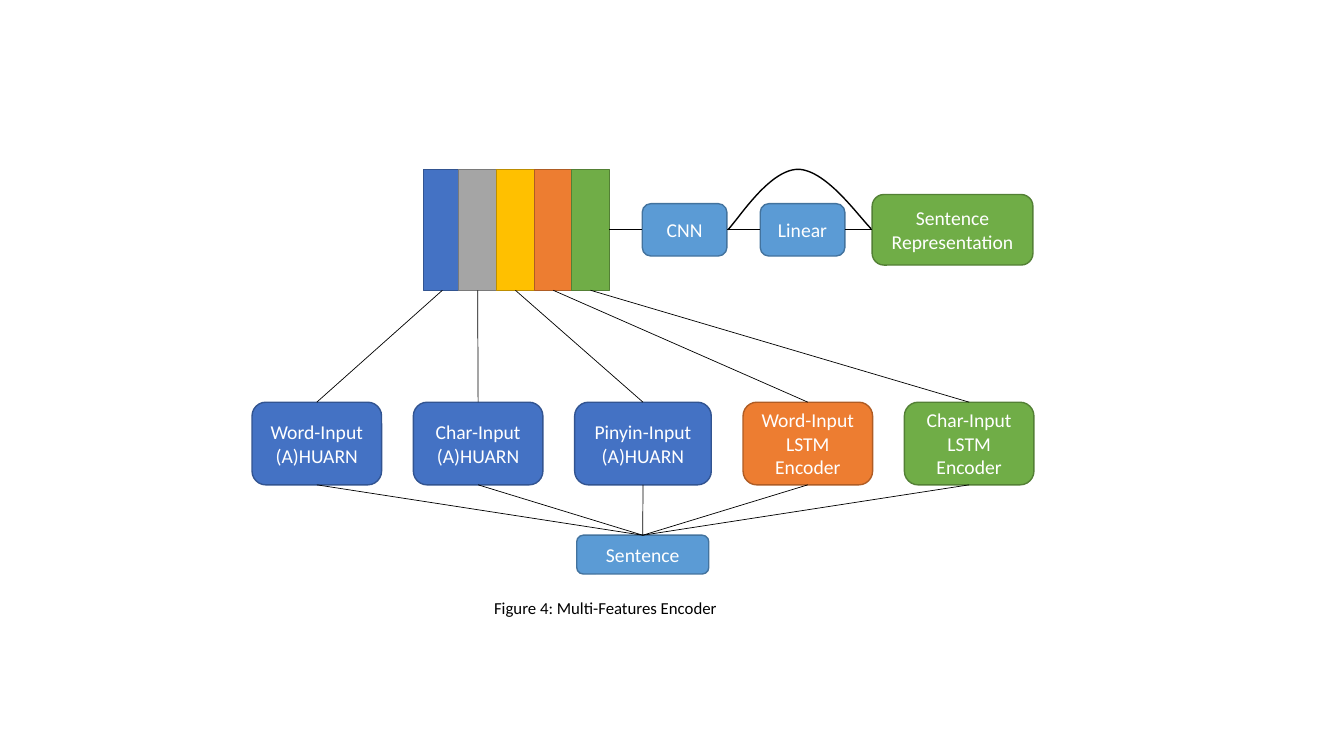
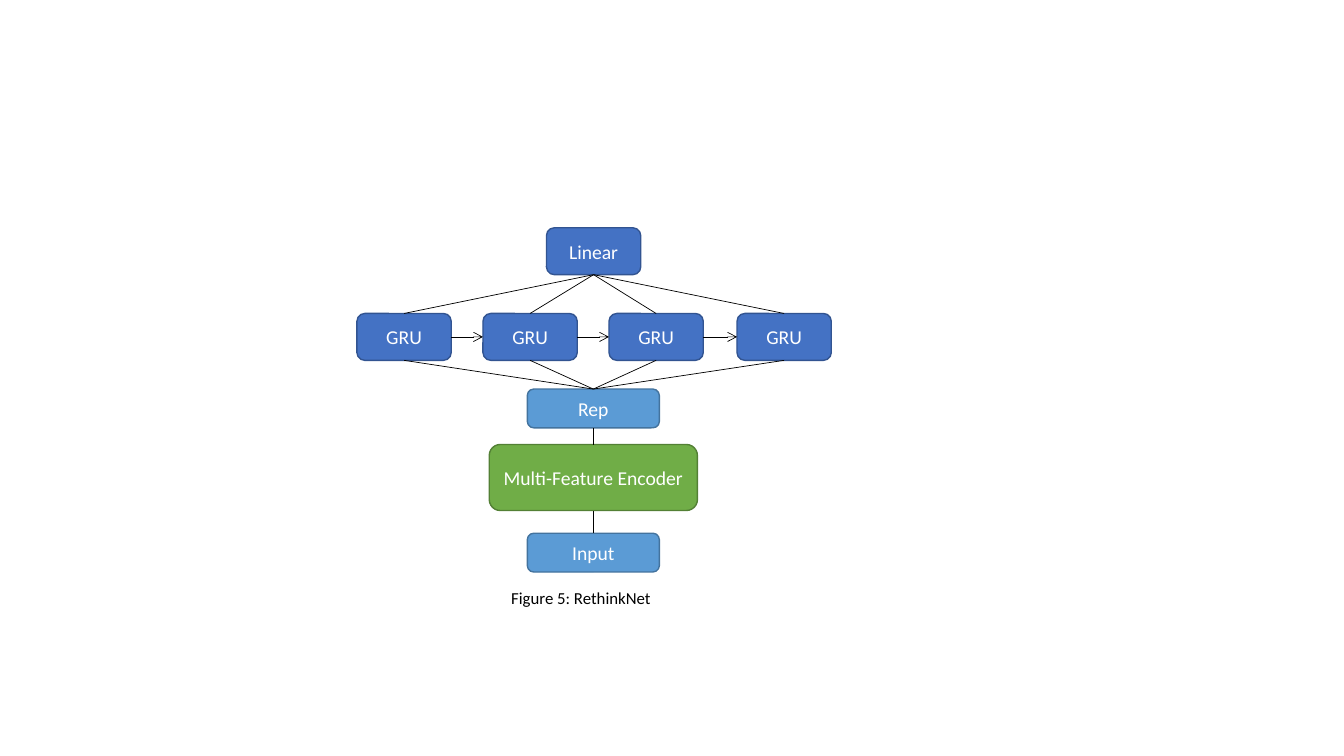
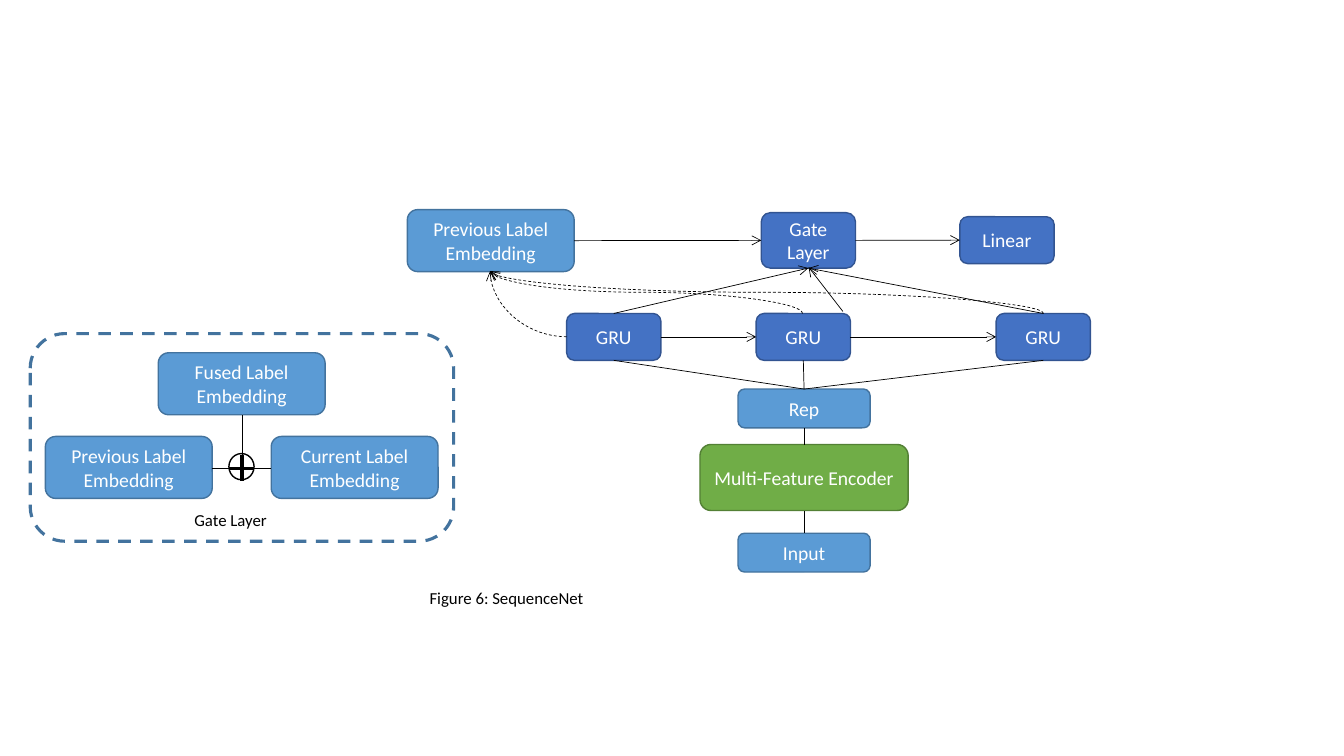
"""Build three slides of neural network diagrams: encoder, RethinkNet and SequenceNet."""

from dataclasses import dataclass
from enum import IntEnum
from itertools import pairwise

from lxml.etree import SubElement
from pptx import Presentation
from pptx.dml.color import RGBColor
from pptx.enum.dml import MSO_LINE
from pptx.enum.shapes import MSO_CONNECTOR, MSO_SHAPE
from pptx.enum.text import MSO_ANCHOR, MSO_AUTO_SIZE, PP_ALIGN
from pptx.oxml.ns import qn
from pptx.shapes.autoshape import Shape
from pptx.shapes.connector import Connector
from pptx.slide import Slide
from pptx.util import Inches, Length, Pt

COLORS = {
    "blue": "4472C4", "blue_edge": "325491",
    "sky": "5B9BD5", "sky_edge": "43739E",
    "green": "70AD47", "green_edge": "538035",
    "orange": "ED7D31", "orange_edge": "AF5C24",
    "gray": "A5A5A5", "gray_edge": "7A7A7A",
    "gold": "FFC000", "gold_edge": "BD8E00",
    "white": "FFFFFF", "black": "000000",
}
FONT = "Calibri"
CAPTION_SIZE, LABEL_SIZE = 12, 14
THIN, EDGE, FRAME, PLUS = 0.5, 1, 2.25, 2.5
GRU_ROW, GRU_COLUMNS, GRU_ROWS = 31.1, 9.35, 4.65
LABEL_COLUMNS, LABEL_ROWS = 16.55, 6.15

Point = tuple[float, float]


class Side(IntEnum):
    """Connection sites of a rectangle."""

    TOP = 0
    LEFT = 1
    BOTTOM = 2
    RIGHT = 3


@dataclass(frozen=True)
class Box:
    """A labelled shape placed in grid columns and rows."""

    column: float
    row: float
    columns: float
    rows: float
    color: str
    label: str = ""
    geometry: MSO_SHAPE = MSO_SHAPE.ROUNDED_RECTANGLE


def cells(count: float) -> Length:
    """Convert grid cells, a tenth of an inch each, to a length."""
    return Inches(count / 10)


def rgb(name: str) -> RGBColor:
    """Look up a palette colour."""
    return RGBColor.from_string(COLORS[name])


def style_text(shape: Shape, size: float, color: str, align: PP_ALIGN) -> None:
    """Format all the text of a shape alike."""
    for para in shape.text_frame.paragraphs:
        para.alignment = align
        for span in para.runs:
            span.font.name = FONT
            span.font.size = Pt(size)
            span.font.color.rgb = rgb(color)


def draw_box(page: Slide, box: Box) -> Shape:
    """Draw a filled box with its centred label."""
    shape = page.shapes.add_shape(
        box.geometry, cells(box.column), cells(box.row), cells(box.columns), cells(box.rows)
    )
    shape.shadow.inherit = False
    shape.fill.solid()
    shape.fill.fore_color.rgb = rgb(box.color)
    shape.line.color.rgb = rgb("black" if box.color == "white" else f"{box.color}_edge")
    shape.line.width = Pt(EDGE)
    if box.label:
        shape.text_frame.text = box.label
        shape.text_frame.word_wrap = True
        shape.text_frame.vertical_anchor = MSO_ANCHOR.MIDDLE
        style_text(shape, LABEL_SIZE, "white", PP_ALIGN.CENTER)
    return shape


def write_note(shape: Shape, text: str) -> None:
    """Write small black text from the top left of a shape."""
    shape.text_frame.text = text
    shape.text_frame.word_wrap = True
    shape.text_frame.auto_size = MSO_AUTO_SIZE.NONE
    shape.text_frame.vertical_anchor = MSO_ANCHOR.TOP
    style_text(shape, CAPTION_SIZE, "black", PP_ALIGN.LEFT)


def add_page(deck: Presentation, caption: str, column: float, row: float, columns: float) -> Slide:
    """Add a slide whose title is the figure caption."""
    page = deck.slides.add_slide(deck.slide_layouts.get_by_name("Title Only"))
    title = page.shapes.title
    title.left, title.top = cells(column), cells(row)
    title.width, title.height = cells(columns), cells(3)
    write_note(title, caption)
    return page


def style_line(line: Connector, width: float = THIN, arrow: bool = False, dashed: bool = False) -> None:
    """Make a connector black, without shadow, perhaps dashed or with an arrowhead."""
    line.line.color.rgb = rgb("black")
    line.line.width = Pt(width)
    if dashed:
        line.line.dash_style = MSO_LINE.DASH
    properties = line.element.spPr
    if arrow:
        SubElement(properties.find(qn("a:ln")), qn("a:tailEnd"), type="arrow")
    SubElement(properties, qn("a:effectLst"))


def draw_line(page: Slide, start: Point, end: Point, width: float = THIN, arrow: bool = False) -> None:
    """Draw a straight line between two grid points."""
    line = page.shapes.add_connector(MSO_CONNECTOR.STRAIGHT, *map(cells, (*start, *end)))
    style_line(line, width, arrow)


def link(page: Slide, source: Shape, leave: Side, target: Shape, enter: Side, arrow: bool = False) -> None:
    """Join two shapes by a straight connector."""
    line = page.shapes.add_connector(MSO_CONNECTOR.STRAIGHT, 0, 0, 0, 0)
    line.begin_connect(source, leave)
    line.end_connect(target, enter)
    style_line(line, arrow=arrow)


def draw_feedback(page: Slide, start: Point, end: Point, upward: bool) -> None:
    """Draw a dashed curved arrow running up and left, leaving upward or leftward."""
    across, rise = start[0] - end[0], start[1] - end[1]
    width, height = (rise, across) if upward else (across, rise)
    left = (start[0] + end[0] - width) / 2
    top = (start[1] + end[1] - height) / 2
    curve = page.shapes.add_connector(
        MSO_CONNECTOR.CURVE, cells(left), cells(top), cells(left + width), cells(top + height)
    )
    frame = curve.element.spPr.find(qn("a:xfrm"))
    frame.set("rot", str((270 if upward else 180) * 60000))
    if upward:
        frame.set("flipV", "1")
    else:
        curve.element.spPr.find(qn("a:prstGeom")).set("prst", "curvedConnector2")
    style_line(curve, arrow=True, dashed=True)


def bezier(points: tuple[Point, Point, Point, Point], steps: int = 30) -> list[Point]:
    """Sample a cubic curve."""
    shares = [step / steps for step in range(steps + 1)]
    weights = [((1 - t) ** 3, 3 * t * (1 - t) ** 2, 3 * t * t * (1 - t), t**3) for t in shares]
    return [
        tuple(sum(w * point[axis] for w, point in zip(weight, points)) for axis in (0, 1))
        for weight in weights
    ]


def draw_skip_curve(page: Slide) -> None:
    """Draw the arc that passes over the linear layer."""
    rising = bezier(((72.2, 22.8), (73.4, 21.5), (76.3, 16.9), (79.1, 16.8)))
    falling = bezier(((79.1, 16.8), (81.9, 16.8), (85.1, 21.4), (86.4, 22.7)))
    points = [(cells(x), cells(y)) for x, y in rising + falling[1:]]
    builder = page.shapes.build_freeform(*points[0])
    builder.add_line_segments(points[1:], close=False)
    arc = builder.convert_to_shape()
    arc.shadow.inherit = False
    arc.fill.background()
    arc.line.color.rgb = rgb("black")
    arc.line.width = Pt(EDGE)


def draw_grus(page: Slide, columns: tuple[float, ...]) -> list[Shape]:
    """Draw a chain of recurrent units joined by arrows."""
    grus = [draw_box(page, Box(column, GRU_ROW, GRU_COLUMNS, GRU_ROWS, "blue", "GRU")) for column in columns]
    for previous, following in pairwise(grus):
        link(page, previous, Side.RIGHT, following, Side.LEFT, arrow=True)
    return grus


def draw_input_stack(page: Slide, center: float, grus: list[Shape]) -> None:
    """Draw input, encoder and representation below the recurrent units."""
    layers = (
        (38.6, 13.1, 3.85, "sky", "Rep"),
        (44.1, 20.65, 6.55, "green", "Multi-Feature Encoder"),
        (52.9, 13.1, 3.85, "sky", "Input"),
    )
    stack = [
        draw_box(page, Box(center - columns / 2, row, columns, rows, color, label))
        for row, columns, rows, color, label in layers
    ]
    for upper, lower in pairwise(stack):
        link(page, lower, Side.TOP, upper, Side.BOTTOM)
    for gru in grus:
        link(page, gru, Side.BOTTOM, stack[0], Side.TOP)


def build_encoder(deck: Presentation) -> None:
    """Build the multi-feature encoder slide."""
    page = add_page(deck, "Figure 4: Multi-Features Encoder", 48, 58.8, 27.3)
    sentence = draw_box(page, Box(57.2, 53.1, 13.1, 3.85, "sky", "Sentence"))
    strips = [
        draw_box(page, Box(column, 16.8, 3.75, 12, color, geometry=MSO_SHAPE.RECTANGLE))
        for column, color in zip(
            (42, 45.5, 49.25, 53, 56.7), ("blue", "gray", "gold", "orange", "green")
        )
    ]
    inputs = (
        (25, 12.85, "blue", "Word-Input\n(A)HUARN"),
        (41, 12.85, "blue", "Char-Input\n(A)HUARN"),
        (57, 13.55, "blue", "Pinyin-Input\n(A)HUARN"),
        (73.7, 12.85, "orange", "Word-Input\nLSTM Encoder"),
        (89.7, 12.85, "green", "Char-Input\nLSTM Encoder"),
    )
    for (column, columns, color, label), strip in zip(inputs, strips):
        encoder = draw_box(page, Box(column, 39.9, columns, 8.2, color, label))
        link(page, encoder, Side.BOTTOM, sentence, Side.TOP)
        link(page, encoder, Side.TOP, strip, Side.BOTTOM)
    chain = [strips[-1]] + [
        draw_box(page, box)
        for box in (
            Box(63.7, 20.2, 8.4, 5.2, "sky", "CNN"),
            Box(75.4, 20.2, 8.4, 5.2, "sky", "Linear"),
            Box(86.5, 19.3, 15.95, 7, "green", "Sentence Representation"),
        )
    ]
    for previous, following in pairwise(chain):
        link(page, previous, Side.RIGHT, following, Side.LEFT)
    draw_skip_curve(page)


def build_rethink_net(deck: Presentation) -> None:
    """Build the RethinkNet slide."""
    page = add_page(deck, "Figure 5: RethinkNet", 49.7, 57.8, 18.3)
    grus = draw_grus(page, (35.4, 47.9, 60.4, 73.1))
    draw_input_stack(page, 58.85, grus)
    linear = draw_box(page, Box(54.2, 22.6, GRU_COLUMNS, GRU_ROWS, "blue", "Linear"))
    for gru in grus:
        link(page, gru, Side.TOP, linear, Side.BOTTOM)


def draw_gate_detail(page: Slide) -> None:
    """Draw the dashed frame that explains the gate layer."""
    frame = page.shapes.add_shape(
        MSO_SHAPE.ROUNDED_RECTANGLE, cells(3), cells(33.1), cells(42), cells(20.6)
    )
    frame.shadow.inherit = False
    frame.fill.background()
    frame.line.color.rgb = rgb("sky_edge")
    frame.line.width = Pt(FRAME)
    frame.line.dash_style = MSO_LINE.DASH
    for column, row, word in ((4.5, 43.3, "Previous"), (26.9, 43.3, "Current"), (15.7, 35, "Fused")):
        draw_box(page, Box(column, row, LABEL_COLUMNS, LABEL_ROWS, "sky", f"{word} Label Embedding"))
    draw_box(page, Box(22.7, 45, 2.5, 2.6, "white", geometry=MSO_SHAPE.OVAL))
    for start, end, width in (
        ((22.7, 46.5), (25.2, 46.5), PLUS),
        ((24, 45.1), (24, 47.7), PLUS),
        ((24, 45.2), (24, 41.2), THIN),
        ((21, 46.5), (22.7, 46.5), THIN),
        ((26.9, 46.5), (25.2, 46.5), THIN),
    ):
        draw_line(page, start, end, width)
    note = page.shapes.add_textbox(cells(18.3), cells(50.1), cells(11.3), cells(3))
    write_note(note, "Gate Layer")


def build_sequence_net(deck: Presentation) -> None:
    """Build the SequenceNet slide."""
    page = add_page(deck, "Figure 6: SequenceNet", 41.6, 57.8, 20.1)
    grus = draw_grus(page, (56.2, 75, 98.8))
    draw_input_stack(page, 79.75, grus)
    draw_gate_detail(page)
    chain = [
        draw_box(page, box)
        for box in (
            Box(40.4, 20.8, LABEL_COLUMNS, LABEL_ROWS, "sky", "Previous Label Embedding"),
            Box(75.5, 21.1, GRU_COLUMNS, 5.5, "blue", "Gate Layer"),
            Box(95.2, 21.5, GRU_COLUMNS, GRU_ROWS, "blue", "Linear"),
        )
    ]
    for previous, following in pairwise(chain):
        link(page, previous, Side.RIGHT, following, Side.LEFT, arrow=True)
    for gru in (grus[0], grus[-1]):
        link(page, gru, Side.TOP, chain[1], Side.BOTTOM, arrow=True)
    draw_line(page, (83.6, 30.9), (80.2, 26.5), arrow=True)
    for start, upward in (((56.2, 33.4), False), ((79.6, GRU_ROW), True), ((103.5, GRU_ROW), True)):
        draw_feedback(page, start, (48.6, 26.9), upward)


def main() -> None:
    """Build and save the deck."""
    deck = Presentation()
    deck.slide_width, deck.slide_height = Inches(13.33), Inches(7.5)
    build_encoder(deck)
    build_rethink_net(deck)
    build_sequence_net(deck)
    deck.save("out.pptx")


if __name__ == "__main__":
    main()
